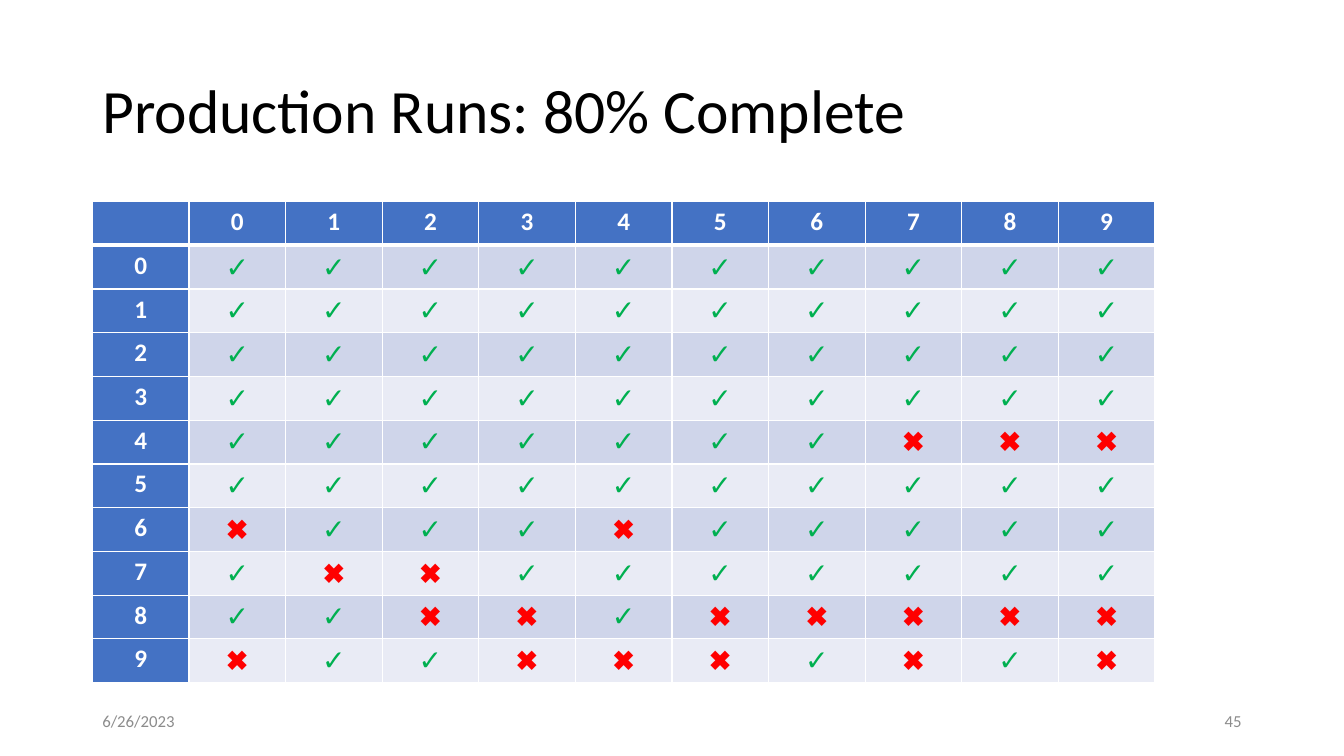
from dataclasses import dataclass

from lxml import etree
from pptx import Presentation
from pptx.dml.color import RGBColor as RGB
from pptx.enum.text import MSO_ANCHOR as Anchor, PP_ALIGN as Align
from pptx.oxml.ns import qn
from pptx.util import Pt


@dataclass(frozen=True)
class Theme:
    font: str = "Calibri"
    ink: str = "000000"
    muted: str = "8C8C8C"
    white: str = "FFFFFF"
    header: str = "4472C4"
    bands: tuple = ("CFD5EA", "E9EBF5")
    done: str = "00B050"
    failed: str = "FF0000"
    title_size: int = 44
    header_size: int = 18
    mark_size: int = 20
    footer_size: int = 12


DONE, FAILED = "✓", "✖︎"
RUNS = 10
# Run numbers that failed, by row
FAILURES = {4: {7, 8, 9}, 6: {0, 4}, 7: {1, 2},
            8: {2, 3, 5, 6, 7, 8, 9}, 9: {0, 3, 4, 5, 7, 9}}


class Deck:
    def __init__(self, theme):
        self.theme = theme
        self.prs = Presentation()
        self.prs.slide_width, self.prs.slide_height = Pt(960), Pt(540)
        self.s = self.prs.slides.add_slide(self.prs.slide_layouts[6])

    def add_run(self, p, text, size, color, align=Align.LEFT, bold=False):
        p.alignment = align
        r = p.add_run()
        r.text = text
        formats = {"name": self.theme.font, "size": Pt(size), "bold": bold}
        for name, value in formats.items():
            setattr(r.font, name, value)
        r.font.color.rgb = RGB.from_string(color)

    def text(self, box, text, size, color, align=Align.LEFT, spacing=1.0):
        tf = self.s.shapes.add_textbox(*map(Pt, box)).text_frame
        tf.word_wrap = True
        tf.vertical_anchor = Anchor.MIDDLE
        p = tf.paragraphs[0]
        p.line_spacing = spacing
        self.add_run(p, text, size, color, align)

    def borders(self, cell, top, bottom):
        """Draw white cell borders; top and bottom are widths in points."""
        tc_pr = cell._tc.get_or_add_tcPr()
        widths = {"lnL": 1, "lnR": 1, "lnT": top, "lnB": bottom}
        for i, (side, width) in enumerate(widths.items()):
            ln = etree.Element(qn(f"a:{side}"), w=str(Pt(width)))
            fill = etree.SubElement(ln, qn("a:solidFill"))
            etree.SubElement(fill, qn("a:srgbClr"), val=self.theme.white)
            tc_pr.insert(i, ln)

    def cell(self, cell, text, size, color, fill):
        cell.fill.solid()
        cell.fill.fore_color.rgb = RGB.from_string(fill)
        if text:
            self.add_run(cell.text_frame.paragraphs[0], text, size, color,
                         Align.CENTER, bold=True)

    def run_grid(self, left, top, col_width, row_height):
        t, n = self.theme, RUNS + 1
        box = (left, top, col_width * n, row_height * n)
        table = self.s.shapes.add_table(n, n, *map(Pt, box)).table
        table.first_row = table.horz_banding = False
        for col in table.columns:
            col.width = Pt(col_width)
        for i, row in enumerate(table.rows):
            row.height = Pt(row_height)
            for j, cell in enumerate(row.cells):
                if i and j:
                    failed = j - 1 in FAILURES.get(i - 1, ())
                    mark, color = (FAILED, t.failed) if failed else (DONE, t.done)
                    self.cell(cell, mark, t.mark_size, color, t.bands[(i - 1) % 2])
                else:
                    label = str(i + j - 1) if i + j else ""
                    self.cell(cell, label, t.header_size, t.white, t.header)
                self.borders(cell, 3 if i == 1 else 1, 3 if i == 0 else 1)


def main():
    t = Theme()
    deck = Deck(t)
    deck.text((66, 28.75, 828, 104.4), "Production Runs: 80% Complete",
              t.title_size, t.ink, spacing=0.9)
    deck.run_grid(66, 144, 69, 31.2)
    deck.text((66, 500.5, 216, 28.75), "6/26/2023", t.footer_size, t.muted)
    deck.text((678, 500.5, 216, 28.75), "45", t.footer_size, t.muted, Align.RIGHT)
    deck.prs.save("out.pptx")


if __name__ == "__main__":
    main()
